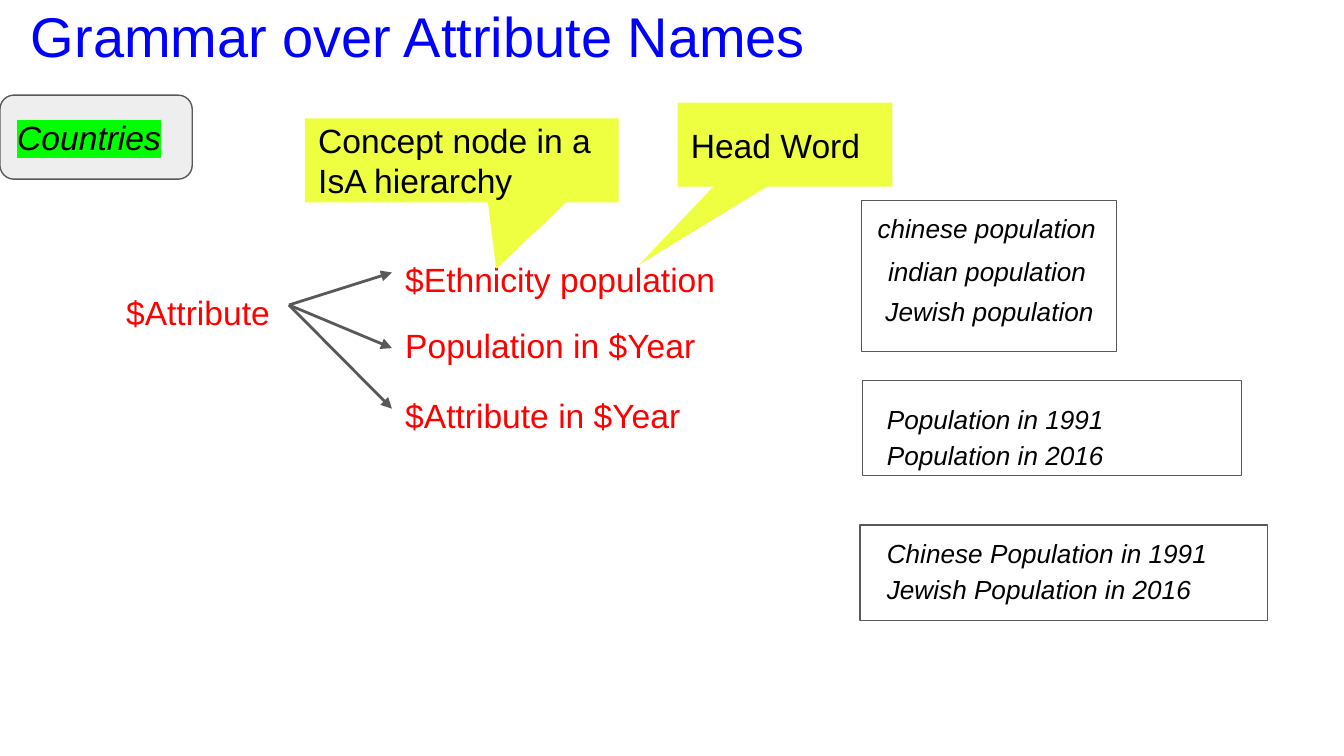
"""Build the slide on grammar over attribute names."""
from lxml.etree import SubElement
from pptx import Presentation
from pptx.dml.color import RGBColor
from pptx.enum.shapes import MSO_CONNECTOR, MSO_SHAPE
from pptx.enum.text import MSO_ANCHOR, PP_ALIGN
from pptx.oxml.ns import qn
from pptx.util import Pt

COLORS = {
    "title": "0000FF",
    "rule": "FF0000",
    "text": "000000",
    "outline": "595959",
    "concept": "EEEEEE",
    "highlight": "00FF00",
    "callout": "EEFF41",
}


def write_text(shape, text, size, color, italic=False, anchor=MSO_ANCHOR.TOP):
    frame = shape.text_frame
    frame.word_wrap = True
    frame.vertical_anchor = anchor
    frame.margin_left = frame.margin_right = Pt(7.2)
    frame.margin_top = frame.margin_bottom = Pt(7.2)
    paragraph = frame.paragraphs[0]
    paragraph.alignment = PP_ALIGN.LEFT
    run = paragraph.add_run()
    run.text = text
    run.font.size = Pt(size)
    run.font.name = "Arial"
    run.font.italic = italic
    run.font.color.rgb = RGBColor.from_string(COLORS[color])
    return run


def add_box(kind, left, top, width, height, fill=None, line=None):
    shape = slide.shapes.add_shape(kind, Pt(left), Pt(top), Pt(width), Pt(height))
    shape.shadow.inherit = False
    if fill:
        shape.fill.solid()
        shape.fill.fore_color.rgb = RGBColor.from_string(COLORS[fill])
    else:
        shape.fill.background()
    if line:
        shape.line.color.rgb = RGBColor.from_string(COLORS[line])
        shape.line.width = Pt(0.75)
    else:
        shape.line.fill.background()
    return shape


presentation = Presentation()
presentation.slide_width = Pt(720)
presentation.slide_height = Pt(405)
slide = presentation.slides.add_slide(presentation.slide_layouts[6])

concept = add_box(MSO_SHAPE.ROUNDED_RECTANGLE, 0, 51, 103, 45, "concept", "outline")
run = write_text(concept, "Countries", 18, "text", True, MSO_ANCHOR.MIDDLE)
highlight = SubElement(run.font._element, qn("a:highlight"))
SubElement(highlight, qn("a:srgbClr"), val=COLORS["highlight"])
run.font._element.find(qn("a:solidFill")).addnext(highlight)

for left, top, width, height in [
    (461.5, 107.5, 136.5, 81),
    (462.2, 203.8, 203, 51),
    (460.8, 281.3, 218.2, 51),
]:
    add_box(MSO_SHAPE.RECTANGLE, left, top, width, height, line="outline")

for text, left, top, width, height, size, color, italic in [
    ("Grammar over Attribute Names", 9.5, -6.5, 701, 78, 30, "title", False),
    ("$Attribute", 60.5, 149, 93.6, 29, 18, "rule", False),
    ("$Ethnicity population", 210, 131.5, 203, 29, 18, "rule", False),
    ("Population in $Year", 210, 167, 214.5, 39, 18, "rule", False),
    ("$Attribute in $Year", 210, 204.5, 203, 29, 18, "rule", False),
    ("chinese population", 463, 106.6, 152.6, 24.5, 14, "text", True),
    ("indian population", 468.7, 129.6, 142.6, 24.5, 14, "text", True),
    ("Jewish population", 467.3, 151.2, 136.8, 24.5, 14, "text", True),
    ("Population in 1991", 468, 208.8, 190, 14.4, 14, "text", True),
    ("Population in 2016", 468, 228.2, 142.6, 14.4, 14, "text", True),
    ("Chinese Population in 1991", 468, 280.8, 218.2, 14.4, 14, "text", True),
    ("Jewish Population in 2016", 468, 300.2, 203, 14.4, 14, "text", True),
]:
    label = slide.shapes.add_textbox(Pt(left), Pt(top), Pt(width), Pt(height))
    write_text(label, text, size, color, italic)

for arrow_end in (146, 186.5, 219):
    arrow = slide.shapes.add_connector(
        MSO_CONNECTOR.STRAIGHT, Pt(154.8), Pt(163.4), Pt(210), Pt(arrow_end)
    )
    arrow.line.color.rgb = RGBColor.from_string(COLORS["outline"])
    arrow.line.width = Pt(1.5)
    SubElement(arrow.line._get_or_add_ln(), qn("a:tailEnd"), type="triangle")
    SubElement(arrow._element.spPr, qn("a:effectLst"))

for text, left, top, width, tip_x, tip_y in [
    ("Head Word", 363, 55, 115, -0.68, 1.43),
    ("Concept node in a IsA hierarchy", 163.4, 63.4, 168, 0.11, 1.29),
]:
    callout = add_box(MSO_SHAPE.RECTANGULAR_CALLOUT, left, top, width, 45, "callout")
    callout.adjustments[0] = tip_x
    callout.adjustments[1] = tip_y
    write_text(callout, text, 18, "text", anchor=MSO_ANCHOR.MIDDLE)

presentation.save("out.pptx")
